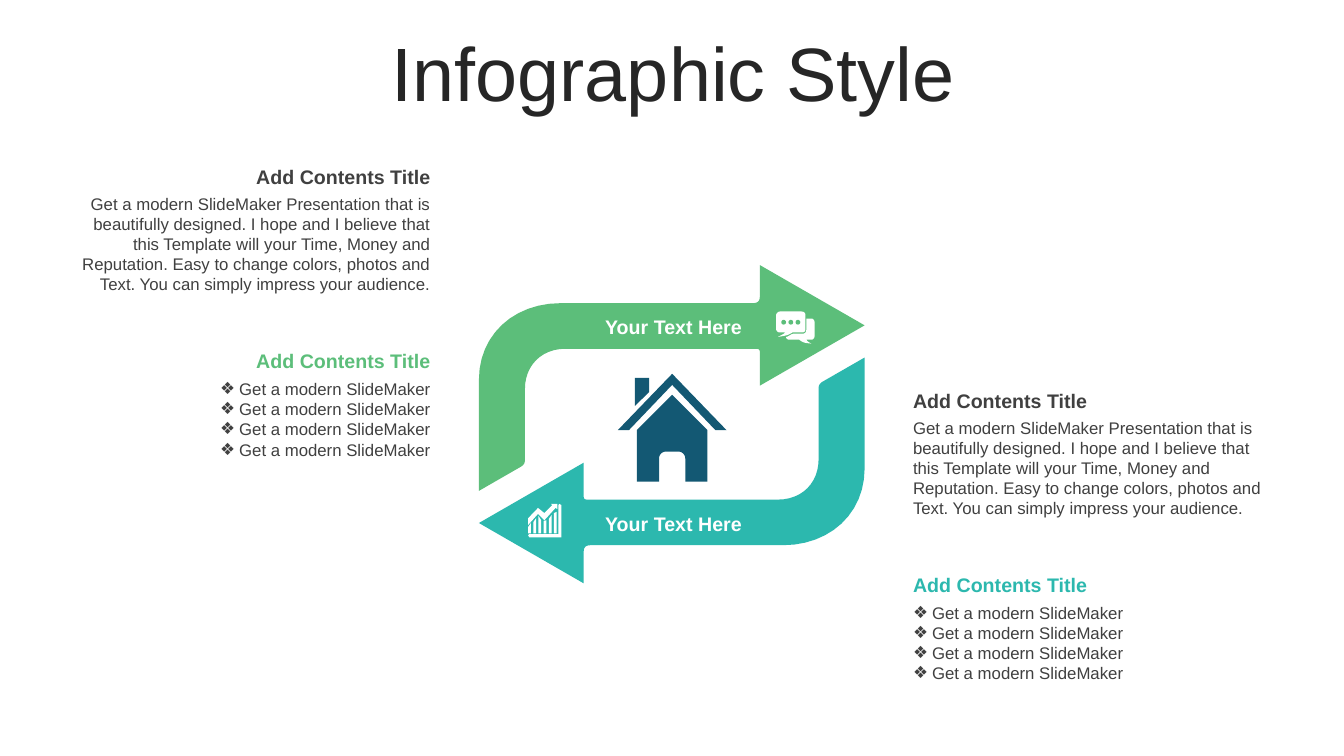
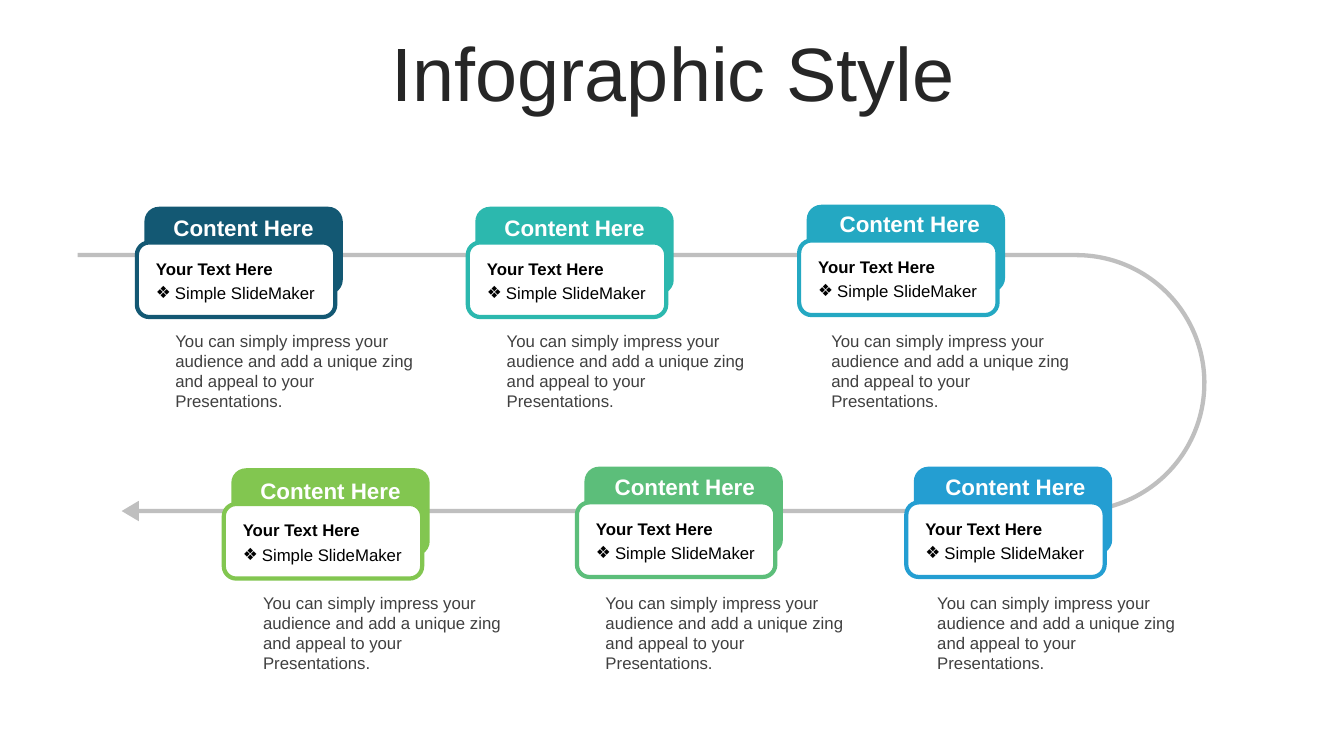
"""Build two infographic slides: a cycle of two arrows and a winding path of six cards."""
from dataclasses import dataclass

from lxml.etree import SubElement
from pptx import Presentation
from pptx.dml.color import RGBColor
from pptx.enum.shapes import MSO_SHAPE
from pptx.enum.text import MSO_ANCHOR, PP_ALIGN
from pptx.oxml.ns import qn
from pptx.util import Cm, Pt


@dataclass(frozen=True)
class Theme:
    font: str = "Arial"
    title: RGBColor = RGBColor.from_string("262626")
    body: RGBColor = RGBColor.from_string("404040")
    black: RGBColor = RGBColor.from_string("000000")
    white: RGBColor = RGBColor.from_string("FFFFFF")
    path_grey: RGBColor = RGBColor.from_string("BFBFBF")
    navy: RGBColor = RGBColor.from_string("135873")
    teal: RGBColor = RGBColor.from_string("2CB8AE")
    cyan: RGBColor = RGBColor.from_string("24A8C2")
    blue: RGBColor = RGBColor.from_string("249ED2")
    green: RGBColor = RGBColor.from_string("5CBE7A")
    lime: RGBColor = RGBColor.from_string("82C650")
    title_size: int = 54
    label_size: int = 16
    heading_size: int = 14
    body_size: int = 12


theme = Theme()


def write(page, frame, lines, size, color, bold=False, align=PP_ALIGN.LEFT,
          anchor=MSO_ANCHOR.TOP, bullet=False, spacing=1.0):
    box = page.shapes.add_textbox(*[Cm(length) for length in frame])
    box.text_frame.word_wrap = True
    box.text_frame.vertical_anchor = anchor
    for number, line in enumerate(lines):
        para = box.text_frame.paragraphs[0] if number == 0 else box.text_frame.add_paragraph()
        para.alignment = align
        para.line_spacing = spacing
        if bullet:
            properties = para._p.get_or_add_pPr()
            properties.set("marL", str(Cm(0.48)))
            properties.set("indent", str(-Cm(0.48)))
            SubElement(properties, qn("a:buFont")).set("typeface", theme.font)
            SubElement(properties, qn("a:buChar")).set("char", "❖")
        span = para.add_run()
        span.text = line
        span.font.name = theme.font
        span.font.size = Pt(size)
        span.font.bold = bold
        span.font.color.rgb = color


def draw(page, origin, contours, color, turn=1):
    """Fill contours in which a pair is a corner and a sextet is a cubic curve."""
    builder = None
    for contour in contours:
        points = []
        for step in contour:
            if len(step) == 2:
                points.append(step)
                continue
            x0, y0 = points[-1]
            x1, y1, x2, y2, x3, y3 = step
            for tick in range(1, 13):
                t = tick / 12
                a, b, c, d = (1 - t) ** 3, 3 * t * (1 - t) ** 2, 3 * t * t * (1 - t), t ** 3
                points.append((a * x0 + b * x1 + c * x2 + d * x3,
                               a * y0 + b * y1 + c * y2 + d * y3))
        places = [(Cm(origin[0] + turn * x), Cm(origin[1] + turn * y)) for x, y in points]
        if builder is None:
            builder = page.shapes.build_freeform(*places[0], scale=1.0)
        else:
            builder.move_to(*places[0])
        builder.add_line_segments(places[1:], close=True)
    shape = builder.convert_to_shape()
    shape.shadow.inherit = False
    shape.fill.solid()
    shape.fill.fore_color.rgb = color
    shape.line.fill.background()


deck = Presentation()
deck.slide_width, deck.slide_height = Cm(33.87), Cm(19.05)
cycle, journey = [deck.slides.add_slide(deck.slide_layouts[6]) for _ in range(2)]
for page in (cycle, journey):
    write(page, (0.89, 0.94, 32.16, 2.01), ["Infographic Style"], theme.title_size, theme.title,
          align=PP_ALIGN.CENTER, anchor=MSO_ANCHOR.MIDDLE, spacing=0.9)

arrow = [
    (-4.86, 1.68), (-4.86, -1.12), (-4.86, -2.24, -3.99, -3.05, -2.8, -3.05),
    (2.04, -3.05), (2.17, -3.05, 2.22, -3.1, 2.22, -3.23), (2.22, -4.01),
    (4.86, -2.49), (2.22, -0.97), (2.22, -1.8), (2.22, -1.88, 2.2, -1.9, 2.12, -1.9),
    (-2.68, -1.9), (-3.29, -1.9, -3.7, -1.47, -3.7, -0.89),
    (-3.7, 0.89), (-3.7, 0.97, -3.72, 1.02, -3.8, 1.07),
]
for color, turn, label_top in ((theme.green, 1, 7.8), (theme.teal, -1, 12.78)):
    draw(cycle, (16.93, 10.69), [arrow], color, turn)
    write(cycle, (14.78, label_top, 4.39, 0.86), ["Your Text Here"], theme.heading_size,
          theme.white, bold=True, align=PP_ALIGN.CENTER)

house = [
    [(0, 0.53), (0.89, 1.42), (0.89, 2.72), (0.33, 2.72), (0.33, 2.13),
     (0.33, 2.04, 0.25, 1.96, 0.16, 1.96), (-0.16, 1.96),
     (-0.25, 1.96, -0.33, 2.04, -0.33, 2.13), (-0.33, 2.72), (-0.89, 2.72), (-0.89, 1.42)],
    [(-0.94, 0.1), (-0.58, 0.1), (-0.58, 0.46), (-0.94, 0.81)],
    [(0, 0), (1.37, 1.42), (1.09, 1.42), (0, 0.28), (-1.09, 1.42), (-1.37, 1.42)],
]
draw(cycle, (16.94, 9.42), house, theme.navy)

bubbles = [
    [(0.1, 0), (0.64, 0), (0.71, 0, 0.74, 0.05, 0.74, 0.1),
     (0.74, 0.43), (0.74, 0.5, 0.71, 0.53, 0.64, 0.53),
     (0.41, 0.53), (0.28, 0.61, 0.23, 0.61, 0.05, 0.64),
     (0.15, 0.58, 0.18, 0.58, 0.23, 0.53), (0.1, 0.53),
     (0.05, 0.53, 0, 0.5, 0, 0.43), (0, 0.1), (0, 0.05, 0.05, 0, 0.1, 0)],
    [(0.76, 0.18), (0.89, 0.18), (0.94, 0.18, 0.97, 0.23, 0.97, 0.28),
     (0.97, 0.61), (0.97, 0.66, 0.94, 0.71, 0.89, 0.71),
     (0.76, 0.71), (0.79, 0.74, 0.79, 0.76, 0.89, 0.81),
     (0.71, 0.79, 0.69, 0.79, 0.58, 0.71), (0.33, 0.71),
     (0.3, 0.71, 0.25, 0.69, 0.25, 0.64), (0.3, 0.64, 0.36, 0.58, 0.43, 0.56),
     (0.66, 0.56), (0.74, 0.56, 0.76, 0.51, 0.76, 0.46)],
]
draw(cycle, (19.56, 7.85), bubbles, theme.white)
for number in range(3):
    dot = cycle.shapes.add_shape(MSO_SHAPE.OVAL, Cm(19.69 + 0.18 * number), Cm(8.06),
                                 Cm(0.12), Cm(0.12))
    dot.shadow.inherit = False
    dot.fill.solid()
    dot.fill.fore_color.rgb = theme.green
    dot.line.fill.background()

bar_tops = [(0.58, 0.48), (0.46, 0.36), (0.3, 0.41), (0.43, 0.41), (0.38, 0.28), (0.23, 0.2)]
bars = [[(0.13 * number, left_top), (0.13 * number + 0.07, right_top),
         (0.13 * number + 0.07, 0.74), (0.13 * number, 0.74)]
        for number, (left_top, right_top) in enumerate(bar_tops)]
trend = [(0.74, 0), (0.74, 0.13), (0.69, 0.1), (0.41, 0.41), (0.25, 0.25), (0, 0.53),
         (0, 0.36), (0.25, 0.1), (0.41, 0.23), (0.61, 0.03), (0.58, 0)]
axes = [(0.79, 0), (0.84, 0.03), (0.84, 0.84), (0.03, 0.84), (0, 0.79), (0.03, 0.76),
        (0.76, 0.76), (0.76, 0.03)]
draw(cycle, (13.31, 12.7), bars + [trend, axes], theme.white)

pitch = ("Get a modern SlideMaker Presentation that is beautifully designed. I hope and I believe "
         "that this Template will your Time, Money and Reputation. Easy to change colors, photos "
         "and Text. You can simply impress your audience.")
for left, top, align, accent in ((1.78, 4.04, PP_ALIGN.RIGHT, theme.green),
                                 (22.76, 9.68, PP_ALIGN.LEFT, theme.teal)):
    for offset, color in ((0, theme.body), (4.62, accent)):
        write(cycle, (left, top + offset, 9.32, 0.86), ["Add Contents Title"],
              theme.heading_size, color, bold=True, align=align)
    write(cycle, (left, top + 0.71, 9.32, 2.82), [pitch], theme.body_size, theme.body, align=align)
    write(cycle, (left, top + 5.38, 9.32, 2.31), ["Get a modern SlideMaker"] * 4,
          theme.body_size, theme.body, align=align, bullet=True)

track = journey.shapes.add_shape(MSO_SHAPE.U_TURN_ARROW, Cm(12.8), Cm(-4.47), Cm(6.76), Cm(28.45))
track.rotation = 90
for number, ratio in enumerate((0.016, 0.038, 0.064, 0.485, 0.961)):
    track.adjustments[number] = ratio
track.shadow.inherit = False
track.fill.solid()
track.fill.fore_color.rgb = theme.path_grey
track.line.fill.background()

cards = [
    (theme.navy, 3.64, 5.21, 3.64, 5.28, 4.17, 8.2),
    (theme.teal, 11.98, 5.21, 11.98, 5.28, 12.52, 8.2),
    (theme.cyan, 20.33, 5.16, 20.43, 5.18, 20.7, 8.2),
    (theme.blue, 23.03, 11.76, 23.09, 11.79, 23.37, 14.81),
    (theme.green, 14.73, 11.76, 14.76, 11.79, 15.01, 14.81),
    (theme.lime, 5.83, 11.8, 5.83, 11.89, 6.38, 14.81),
]
for color, left, top, label_left, label_top, note_left, note_top in cards:
    panel_left, panel_top = left - 0.19, top + 0.9
    for x, y, height, fill in ((left, top, 2.21, color),
                               (panel_left, panel_top, 1.88, theme.white)):
        plate = journey.shapes.add_shape(MSO_SHAPE.ROUNDED_RECTANGLE, Cm(x), Cm(y),
                                         Cm(5), Cm(height))
        plate.shadow.inherit = False
        plate.fill.solid()
        plate.fill.fore_color.rgb = fill
        plate.line.fill.background()
    plate.line.color.rgb = color
    plate.line.width = Pt(3)
    write(journey, (label_left, label_top, 5, 0.94), ["Content Here"], theme.label_size,
          theme.white, bold=True, align=PP_ALIGN.CENTER)
    write(journey, (panel_left + 0.23, panel_top + 0.28, 4.77, 0.76), ["Your Text Here"],
          theme.body_size, theme.black, bold=True, anchor=MSO_ANCHOR.MIDDLE)
    write(journey, (panel_left + 0.23, panel_top + 0.89, 4.77, 0.76), ["Simple SlideMaker"],
          theme.body_size, theme.black, anchor=MSO_ANCHOR.MIDDLE, bullet=True)
    write(journey, (note_left, note_top, 6.81, 1.8),
          ["You can simply impress your audience and add a unique zing and appeal to your "
           "Presentations."], theme.body_size, theme.body)

deck.save("out.pptx")
